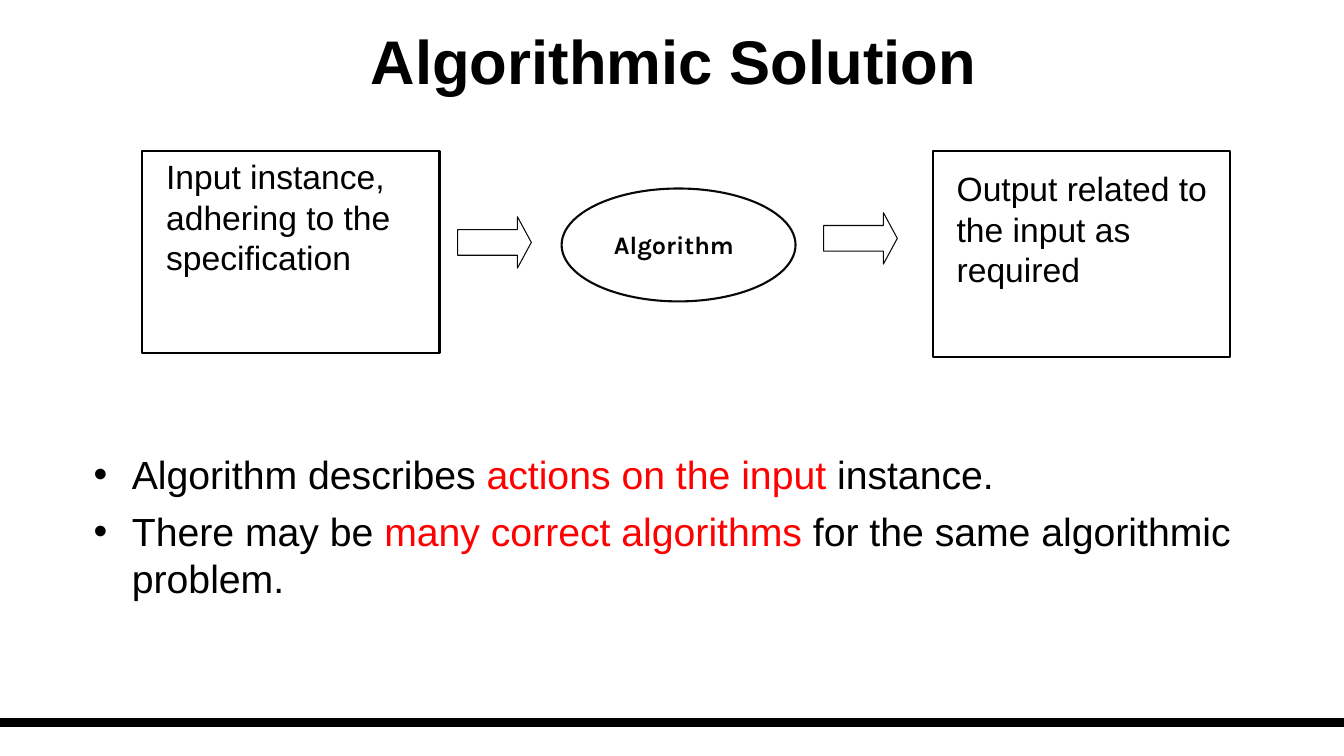
from lxml import etree
from pptx import Presentation
from pptx.dml.color import RGBColor
from pptx.enum.shapes import MSO_CONNECTOR, MSO_SHAPE
from pptx.enum.text import MSO_ANCHOR, PP_ALIGN
from pptx.oxml.ns import qn
from pptx.util import Inches, Pt

BLACK, INK, RED = "000000", "080808", "FF0000"

TITLE = "Algorithmic Solution"
OUTLINES = [
    (MSO_SHAPE.RECTANGLE, (1.41, 1.5, 2.95, 2), BLACK, 1.5),
    (MSO_SHAPE.RIGHT_ARROW, (4.54, 2.15, 0.73, 0.51), INK, 0.75),
    (MSO_SHAPE.OVAL, (5.57, 1.87, 2.32, 1.12), INK, 1.5),
    (MSO_SHAPE.RIGHT_ARROW, (8.17, 2.11, 0.73, 0.51), INK, 0.75),
    (MSO_SHAPE.RECTANGLE, (9.25, 1.5, 2.95, 2.04), BLACK, 1.5),
]
STAGES = [
    ("Input instance, adhering to the specification", (1.55, 1.5, 2.83, 1.7)),
    ("Output related to the input as required", (9.39, 1.62, 2.83, 1.3)),
]
BULLETS = [
    [("Algorithm describes ", BLACK), ("actions on the input ", RED), ("instance.", BLACK)],
    [("There may be ", BLACK), ("many correct algorithms ", RED),
     ("for the same algorithmic problem.", BLACK)],
]


def color(value):
    return RGBColor.from_string(value)


def add_box(place, wrap=True):
    frame = page.shapes.add_textbox(*map(Inches, place)).text_frame
    frame.word_wrap = wrap
    return frame


def add_span(para, text, size, ink=BLACK, font="Arial", bold=False):
    span = para.add_run()
    span.text = text
    span.font.name = font
    span.font.size = Pt(size)
    span.font.bold = bold
    span.font.color.rgb = color(ink)


def add_bullet(para):
    props = para._p.get_or_add_pPr()
    props.set("marL", str(Inches(0.38)))
    props.set("indent", str(Inches(-0.38)))
    etree.SubElement(props, qn("a:buFont"), typeface="Arial")
    etree.SubElement(props, qn("a:buChar"), char="•")


deck = Presentation()
deck.slide_width, deck.slide_height = Inches(13.33), Inches(7.5)
page = deck.slides.add_slide(deck.slide_layouts[6])

rule = page.shapes.add_connector(
    MSO_CONNECTOR.STRAIGHT, 0, Inches(7.17), deck.slide_width, Inches(7.17))
rule.line.color.rgb = color(BLACK)
rule.line.width = Pt(6)
etree.SubElement(rule._element.spPr, qn("a:effectLst"))

title = add_box((0.04, 0.02, 13.29, 1.15))
title.vertical_anchor = MSO_ANCHOR.MIDDLE
title.paragraphs[0].alignment = PP_ALIGN.CENTER
add_span(title.paragraphs[0], TITLE, 44, bold=True)

for kind, place, ink, weight in OUTLINES:
    outline = page.shapes.add_shape(kind, *map(Inches, place))
    outline.shadow.inherit = False
    outline.fill.background()
    outline.line.color.rgb = color(ink)
    outline.line.width = Pt(weight)
    if kind == MSO_SHAPE.RIGHT_ARROW:
        outline.adjustments[1] = 0.27

label = add_box((5.99, 2.23, 1.47, 0.4), wrap=False)
add_span(label.paragraphs[0], "Algorithm", 18, font="Karla", bold=True)

for text, place in STAGES:
    add_span(add_box(place).paragraphs[0], text, 24)

notes = add_box((0.83, 4.42, 12.17, 2.5))
for index, spans in enumerate(BULLETS):
    para = notes.add_paragraph() if index else notes.paragraphs[0]
    para.space_before = Pt(7)
    add_bullet(para)
    for text, ink in spans:
        add_span(para, text, 28, ink)

deck.save("out.pptx")
